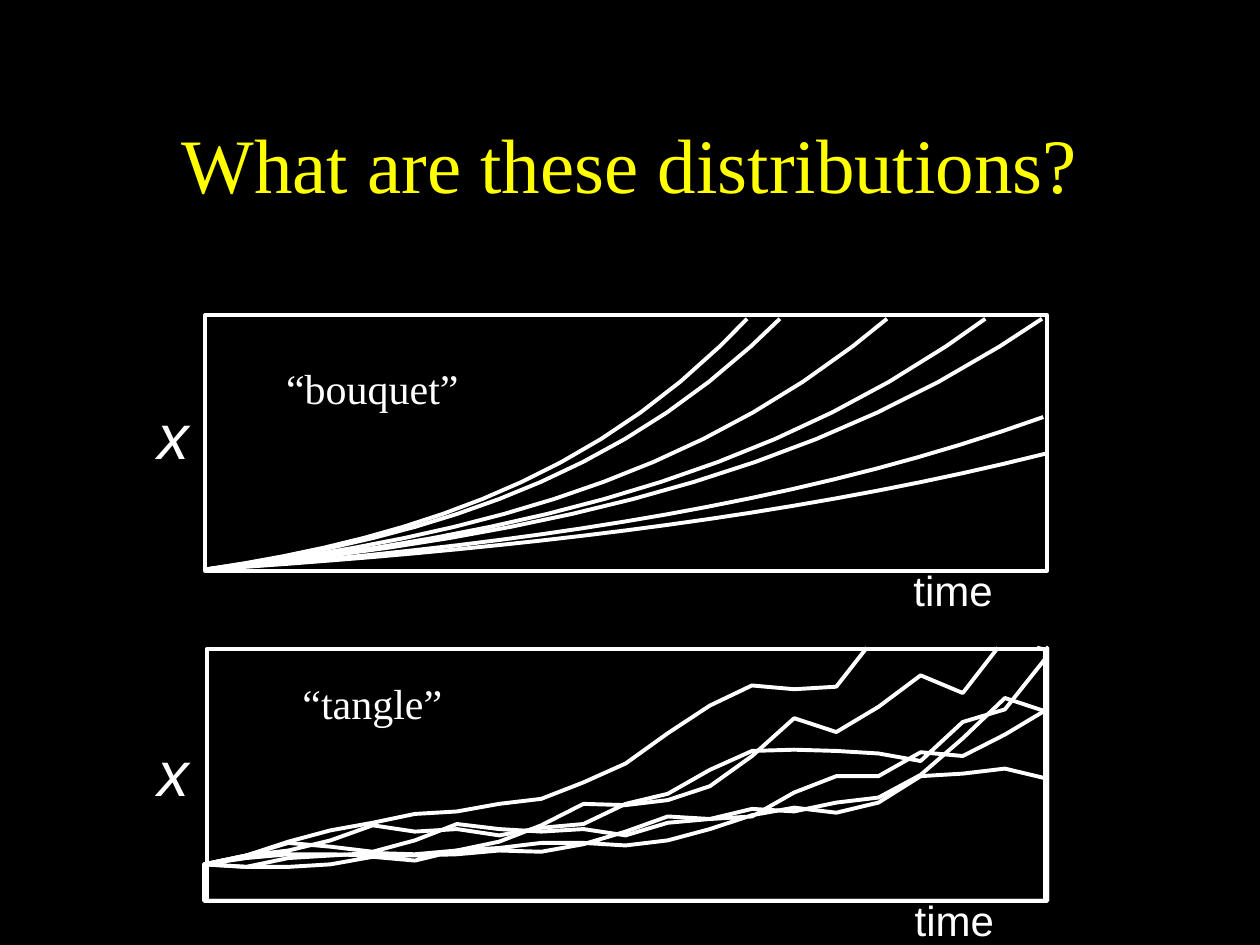
import itertools
import math

import pptx
import pptx.util
import pptx.dml.color
import pptx.enum.shapes
import pptx.enum.text

Inches = pptx.util.Inches
Pt = pptx.util.Pt
ALIGN = pptx.enum.text.PP_ALIGN
ANCHOR = pptx.enum.text.MSO_ANCHOR
FIT = pptx.enum.text.MSO_AUTO_SIZE
RECT = pptx.enum.shapes.MSO_SHAPE.RECTANGLE

WHITE, YELLOW, BLACK = "FFFFFF", "FFFF00", "000000"
SERIF, SANS = "Times New Roman", "Arial"

TITLE = "What are these distributions?"
HEAD = {"size": Pt(44), "name": SERIF}
TIME = {"size": Pt(24), "name": SANS}
AXIS = {"size": Pt(36), "name": SANS, "italic": True}
NAME = {"size": Pt(24), "name": SERIF}
LABELS = [
    ("time", (7.25, 4.48, 0.63, 0.4), TIME, 0),
    ("time", (7.26, 7.1, 0.63, 0.4), TIME, 0),
    ("x", (1.25, 3.15, 0.25, 0.6), AXIS, 0),
    ("x", (1.25, 5.82, 0.25, 0.6), AXIS, 0),
    ("“bouquet”", (2.17, 2.83, 1.57, 0.5), NAME, 0.1),
    ("“tangle”", (2.3, 5.33, 1.31, 0.5), NAME, 0.1),
]

STEPS = 20
ROOT = (1.63, 4.52)
SEED = 0.32
FULL, CUT = 1.99, 13.69
CURVES = [
    {"end": 5.93, "rise": FULL, "steps": CUT},
    {"end": 6.19, "rise": FULL, "steps": CUT},
    {"end": 7.04, "rise": FULL, "steps": CUT},
    {"end": 7.82, "rise": FULL, "steps": CUT},
    {"end": 8.27, "rise": FULL, "steps": CUT},
    {"end": 8.28, "rise": 1.21, "steps": STEPS},
    {"end": 8.3, "rise": 0.92, "steps": STEPS},
]

LEFT, RIGHT, TOP, BASE = 1.62, 8.31, 5.14, 7.15
START = 6.86
CLIMBS = {
    "high": [7, 11, 9, 6, 7, 2, 6, 4, 13, 15, 24, 22, 16, -3, 2, 31],
    "late": [7, 10, -3, -4, 9, 13, -4, -2, 2, -5,
             10, 3, 8, -2, 7, 4, 18, 29, 32, -11],
    "jagged": [-2, 7, 2, 2, -1, 3, 7, 13, 17, -1,
               4, 11, 24, 30, -11, 20, 25, -14, 36],
    "flat": [7, 4, 8, 12, -5, 2, -5, 6, 3, 16,
             8, 19, 15, 1, -1, -2, -6, 31, 10, 42],
    "low": [-2, 0, 2, 6, -3, 8, 2, 4, 0, -2,
            4, 9, 11, 6, -4, 8, 21, 2, 4, -8],
    "smooth": [5, 3, 0, -1, 0, 1, 3, -1, 6, 10,
               12, -2, 2, 19, 13, 0, 19, -3, 17, 20],
}
EXITS = {"high": 6.88, "jagged": 7.92}
EDGES = {
    "tip": [(8.23, TOP), (RIGHT, 5.16)],
    "back": [(RIGHT, TOP), (RIGHT, BASE), (LEFT, BASE)],
}
STRANDS = [
    ["high"],
    ["back", "late", "back", "jagged"],
    ["tip", "back", "flat", "back", "low", "back", "smooth"],
]


def grow(end, rise, steps):
    left, base = ROOT
    width = (end - left) / steps
    rate = math.log(1 + rise / SEED) / steps
    ticks = [*range(math.ceil(steps)), steps]
    return [(left + width * tick,
             base - SEED * (math.exp(rate * tick) - 1)) for tick in ticks]


def walk(name):
    width = (RIGHT - LEFT) / STEPS
    totals = itertools.accumulate(CLIMBS[name], initial=0)
    points = [(LEFT + width * tick, START - total / 100)
              for tick, total in enumerate(totals)]
    if name in EXITS:
        points[-1] = (EXITS[name], TOP)
    return points


def paint(part, code):
    part.rgb = pptx.dml.color.RGBColor.from_string(code)


def apply(target, values):
    for key, val in values.items():
        setattr(target, key, val)


def write(frame, text, form, code, align):
    para = frame.paragraphs[0]
    para.alignment = align
    run = para.add_run()
    run.text = text
    apply(run.font, form)
    paint(run.font.color, code)


def trace(shape):
    shape.shadow.inherit = False
    shape.fill.background()
    shape.line.width = Pt(2.25)
    paint(shape.line.color, WHITE)
    return shape


def curve(slide, points):
    spots = [(Inches(x), Inches(y)) for x, y in points]
    pen = slide.shapes.build_freeform(*spots[0])
    pen.add_line_segments(spots[1:], close=False)
    return trace(pen.convert_to_shape())


def panel(slide, place, lines):
    box = slide.shapes.add_shape(RECT, *map(Inches, place))
    parts = [trace(box)] + [curve(slide, points) for points in lines]
    slide.shapes.add_group_shape(parts)


def label(slide, text, place, form, inset):
    frame = slide.shapes.add_textbox(*map(Inches, place)).text_frame
    side, edge = Inches(inset), Inches(inset / 2)
    apply(frame, {"word_wrap": False, "auto_size": FIT.SHAPE_TO_FIT_TEXT,
                  "margin_left": side, "margin_right": side,
                  "margin_top": edge, "margin_bottom": edge})
    align = ALIGN.CENTER if inset else ALIGN.LEFT
    write(frame, text, form, WHITE, align)


def main():
    deck = pptx.Presentation()
    apply(deck, {"slide_width": Inches(10), "slide_height": Inches(7.5)})
    slide = deck.slides.add_slide(deck.slide_layouts[5])
    back = slide.background.fill
    back.solid()
    paint(back.fore_color, BLACK)

    title = slide.shapes.title
    apply(title, {"left": Inches(0.75), "top": Inches(0.67),
                  "width": Inches(8.5), "height": Inches(1.25)})
    title.text_frame.vertical_anchor = ANCHOR.MIDDLE
    write(title.text_frame, TITLE, HEAD, YELLOW, ALIGN.CENTER)

    pieces = EDGES | {name: walk(name) for name in CLIMBS}
    tangle = [[spot for name in strand for spot in pieces[name]]
              for strand in STRANDS]
    bouquet = [grow(**item) for item in CURVES]
    panel(slide, (1.64, 5.15, 6.65, 2), tangle)
    panel(slide, (1.63, 2.5, 6.68, 2.03), bouquet)

    for item in LABELS:
        label(slide, *item)
    deck.save("out.pptx")


if __name__ == "__main__":
    main()
